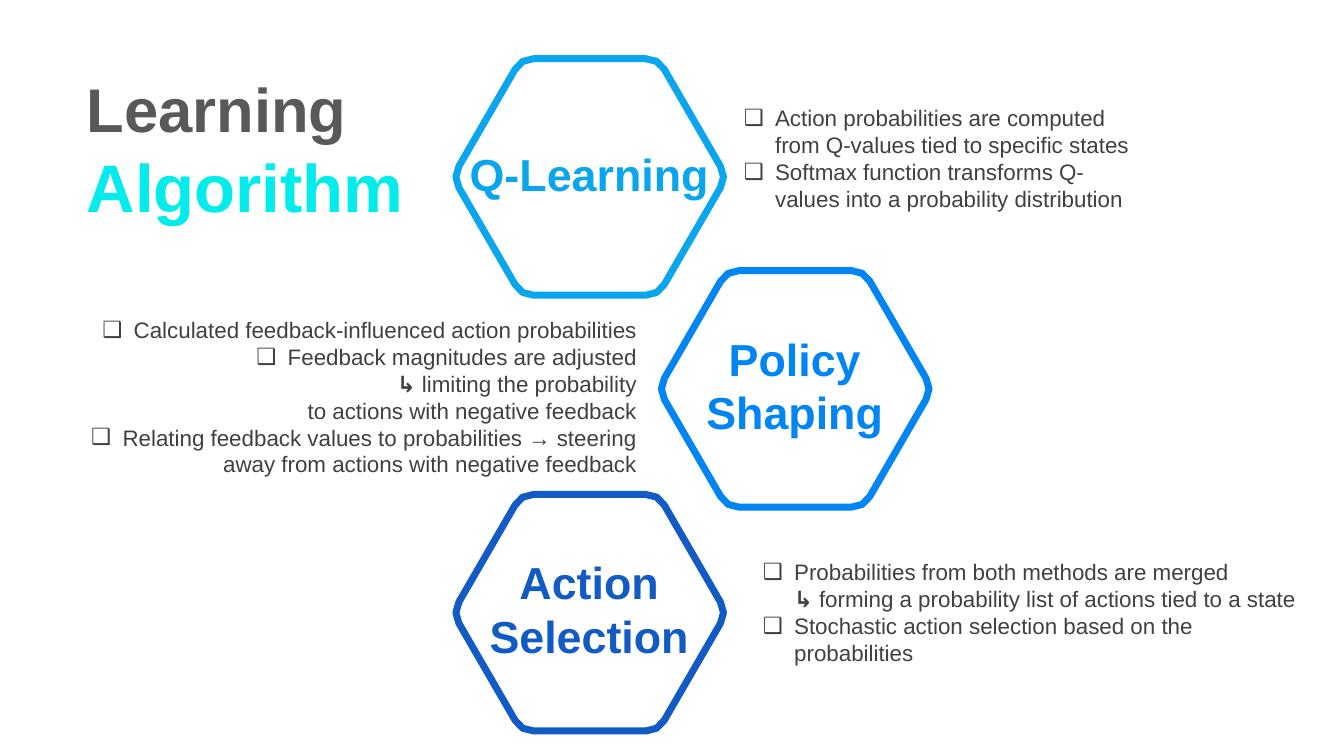
from lxml.etree import SubElement
from pptx import Presentation
from pptx.dml.color import RGBColor
from pptx.enum.text import MSO_ANCHOR, MSO_AUTO_SIZE, PP_ALIGN
from pptx.oxml.ns import qn
from pptx.util import Cm, Pt

FONT = "Arial"
TEXT = "404040"
INDENT = 0.79
BULLET = "❑"

# Hexagon measures in cm; corners are rounded over a share of each side
HALF_W, HALF_H = 3.45, 2.98
ROUNDING = 0.09
CURVE_STEPS = (0, 0.5, 1)


def rgb(value):
    return RGBColor.from_string(value)


def style_run(r, size, color, bold=False):
    r.font.name = FONT
    r.font.size = Pt(size)
    r.font.bold = bold
    r.font.color.rgb = rgb(color)


def place(sp, left, top, width, height):
    sp.left, sp.top, sp.width, sp.height = map(Cm, (left, top, width, height))


def top_frame(sp):
    tf = sp.text_frame
    tf.word_wrap = True
    tf.vertical_anchor = MSO_ANCHOR.TOP
    tf.auto_size = MSO_AUTO_SIZE.SHAPE_TO_FIT_TEXT
    return tf


def set_bullet(p, char, margin, hanging):
    pPr = p._p.get_or_add_pPr()
    pPr.set("marL", str(Cm(margin)))
    pPr.set("indent", str(-Cm(hanging)))
    if char:
        SubElement(pPr, qn("a:buFont")).set("typeface", FONT)
        SubElement(pPr, qn("a:buChar")).set("char", char)
    else:
        SubElement(pPr, qn("a:buNone"))


def add_title(sp, box, lines):
    place(sp, *box)
    tf = top_frame(sp)
    tf.text = "\n".join(text for text, _, _ in lines)
    for p, (_, size, color) in zip(tf.paragraphs, lines):
        p.alignment = PP_ALIGN.LEFT
        style_run(p.runs[0], size, color, True)


def add_list(sp, box, align, items):
    """Each item is (text, bullet, left margin); a leading arrow is bold."""
    place(sp, *box)
    tf = top_frame(sp)
    tf.text = "\n".join(text for text, _, _ in items)
    for p, (text, char, margin) in zip(tf.paragraphs, items):
        set_bullet(p, char, margin, INDENT if char else 0)
        p.alignment = align
        p.space_before = Pt(0)
        if text.startswith("↳"):
            p.runs[0].text = "↳"
            p.add_run().text = text[1:]
        for r in p.runs:
            style_run(r, 16, TEXT, r.text == "↳")


def hexagon_points(cx, cy):
    half = HALF_W / 2
    corners = [(cx + x, cy + y) for x, y in (
        (half, -HALF_H), (HALF_W, 0), (half, HALF_H),
        (-half, HALF_H), (-HALF_W, 0), (-half, -HALF_H))]
    points = []
    for i, corner in enumerate(corners):
        before, after = corners[i - 1], corners[(i + 1) % 6]
        start, end = ([c + ROUNDING * (n - c) for c, n in zip(corner, side)]
                      for side in (before, after))
        for t in CURVE_STEPS:
            points.append(tuple(
                Cm((1 - t) ** 2 * a + 2 * t * (1 - t) * c + t ** 2 * b)
                for a, c, b in zip(start, corner, end)))
    return points


def add_hexagon(s, cx, cy, label, color):
    group = s.shapes.add_group_shape()
    # Outline
    first, *rest = hexagon_points(cx, cy)
    builder = group.shapes.build_freeform(*first)
    builder.add_line_segments(rest, close=True)
    sp = builder.convert_to_shape()
    sp.shadow.inherit = False
    sp.fill.background()
    sp.line.color.rgb = rgb(color)
    sp.line.width = Pt(5)
    # Label
    box = group.shapes.add_textbox(Cm(cx - 3.53), Cm(cy - 0.63), Cm(7.04), Cm(1.07))
    tf = box.text_frame
    tf.word_wrap = True
    tf.vertical_anchor = MSO_ANCHOR.MIDDLE
    tf.text = label
    p = tf.paragraphs[0]
    p.alignment = PP_ALIGN.CENTER
    style_run(p.runs[0], 32, color, True)


def main():
    prs = Presentation()
    prs.slide_width, prs.slide_height = Cm(33.87), Cm(19.05)
    s = prs.slides.add_slide(prs.slide_layouts.get_by_name("Comparison"))
    title, q_list, policy_list, action_list, spare = s.placeholders
    spare.element.getparent().remove(spare.element)

    # Title
    add_title(title, (1.93, 1.67, 9.07, 4.19),
              [("Learning", 44, "595959"), ("Algorithm", 48, "02ECEC")])

    # Hexagons
    for cx, cy, label, color in (
            (14.86, 4.46, "Q-Learning", "0AA6ED"),
            (20.04, 9.8, "Policy Shaping", "0085F2"),
            (14.86, 15.44, "Action Selection", "125AC4")):
        add_hexagon(s, cx, cy, label, color)

    # Explanations
    add_list(q_list, (18.49, 2.5, 10.62, 3), PP_ALIGN.LEFT, [
        ("Action probabilities are computed from Q-values tied to specific states",
         BULLET, INDENT),
        ("Softmax function transforms Q-values into a probability distribution",
         BULLET, INDENT)])
    add_list(policy_list, (1.42, 7.84, 14.88, 4.37), PP_ALIGN.RIGHT, [
        ("Calculated feedback-influenced action probabilities", BULLET, INDENT),
        ("Feedback magnitudes are adjusted", BULLET, INDENT),
        ("↳ limiting the probability", None, 0),
        ("to actions with negative feedback", None, 0),
        ("Relating feedback values to probabilities → steering away from "
         "actions with negative feedback", BULLET, 0)])
    add_list(action_list, (18.97, 13.94, 13.95, 3), PP_ALIGN.LEFT, [
        ("Probabilities from both methods are merged", BULLET, INDENT),
        ("↳ forming a probability list of actions tied to a state", None, INDENT),
        ("Stochastic action selection based on the probabilities",
         BULLET, INDENT)])

    prs.save("out.pptx")


if __name__ == "__main__":
    main()
